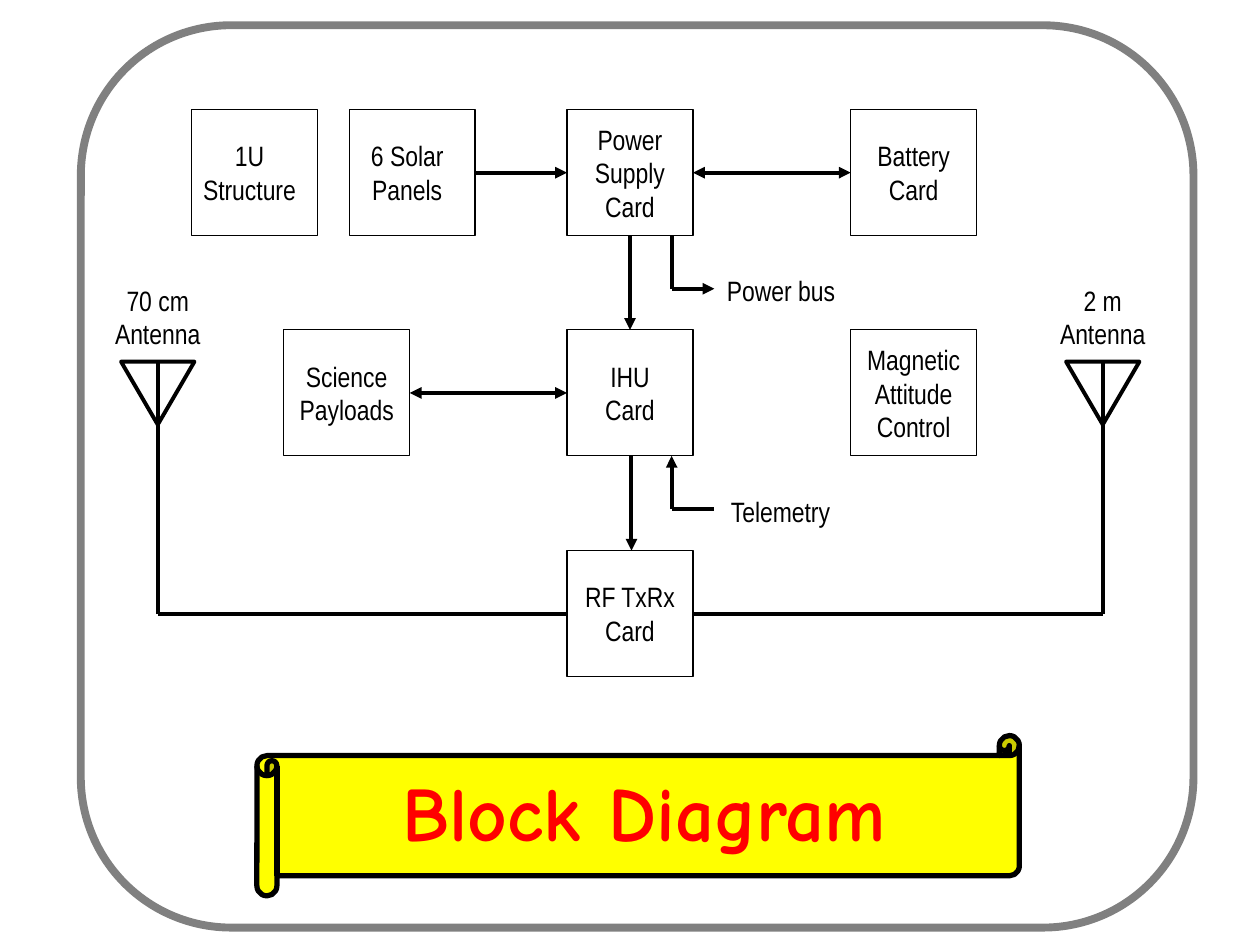
"""Build the satellite block diagram slide."""
from lxml import etree
from pptx import Presentation
from pptx.dml.color import RGBColor
from pptx.enum.shapes import MSO_CONNECTOR, MSO_SHAPE
from pptx.enum.text import MSO_ANCHOR, PP_ALIGN
from pptx.oxml.ns import qn
from pptx.util import Cm, Pt

COLORS = {"ink": "000000", "frame": "808080", "scroll": "FFFF00", "title": "FF0000"}
BOX = 2.54
HALF = BOX / 2
ROWS = (2.21, 6.65, 11.1)
CENTER_X, BATTERY_X, SOLAR_X, STRUCTURE_X, SCIENCE_X = 11.43, 17.15, 7.04, 3.86, 5.72
MID_X, BUS_X, BUS_END = CENTER_X + HALF, 13.54, 14.4
ANTENNA_TOP = 7.29


def rgb(name):
    return RGBColor.from_string(COLORS[name])


def set_text(shape, text, size=16, font="Arial Narrow", color="ink", bold=False, wrap=True):
    frame = shape.text_frame
    frame.word_wrap = wrap
    frame.vertical_anchor = MSO_ANCHOR.MIDDLE
    frame.margin_left = frame.margin_right = Cm(0.25)
    frame.margin_top = frame.margin_bottom = Cm(0.13)
    frame.text = text
    for paragraph in frame.paragraphs:
        paragraph.alignment = PP_ALIGN.CENTER
        for run in paragraph.runs:
            run.font.size, run.font.name, run.font.bold = Pt(size), font, bold
            run.font.color.rgb = rgb(color)


def add_outline(slide, kind, x, y, width, height, weight, line="ink", fill=None):
    shape = slide.shapes.add_shape(kind, Cm(x), Cm(y), Cm(width), Cm(height))
    shape.shadow.inherit = False
    if fill:
        shape.fill.solid()
        shape.fill.fore_color.rgb = rgb(fill)
    else:
        shape.fill.background()
    shape.line.color.rgb = rgb(line)
    shape.line.width = Pt(weight)
    return shape


def add_block(slide, x, row, text, shift=0):
    block = add_outline(slide, MSO_SHAPE.RECTANGLE, x, ROWS[row], BOX, BOX, 0.75)
    set_text(block, text)
    block.text_frame.margin_left = Cm(0.25 - 2 * shift)


def add_label(slide, x, y, width, height, text):
    label = slide.shapes.add_textbox(Cm(x), Cm(y), Cm(width), Cm(height))
    set_text(label, text, wrap=False)


def add_wire(slide, x1, y1, x2, y2, ends=()):
    wire = slide.shapes.add_connector(MSO_CONNECTOR.STRAIGHT, Cm(x1), Cm(y1), Cm(x2), Cm(y2))
    wire.line.color.rgb = rgb("ink")
    wire.line.width = Pt(2.25)
    outline = wire.line._get_or_add_ln()
    for end in ends:
        etree.SubElement(outline, qn(f"a:{end}"), type="triangle")
    etree.SubElement(wire._element.spPr, qn("a:effectLst"))


def add_antenna(slide, x, name, radio_x):
    base = ROWS[2] + HALF
    add_label(slide, x - 1.12, 5.59, 2.24, 1.6, f"{name}\nAntenna")
    dish = add_outline(slide, MSO_SHAPE.ISOSCELES_TRIANGLE, x - 0.74, ANTENNA_TOP, 1.48, 1.27, 2.25)
    dish.rotation = 180
    add_wire(slide, x, ANTENNA_TOP, x, base)
    add_wire(slide, x, base, radio_x, base)


def add_banner(slide):
    add_outline(slide, MSO_SHAPE.HORIZONTAL_SCROLL, 5.18, 14.83, 15.37, 3.23, 3, fill="scroll")
    title = slide.shapes.title
    title.left, title.top, title.width, title.height = Cm(4.42), Cm(15.29), Cm(17.15), Cm(2.11)
    set_text(title, "Block Diagram", 44, "Comic Neue", "title", True)
    slide.shapes._spTree.append(title._element)


def add_wires(slide):
    right = CENTER_X + BOX
    power_y, computer_y = ROWS[0] + HALF, ROWS[1] + HALF
    power_bottom, computer_bottom = ROWS[0] + BOX, ROWS[1] + BOX
    bus_y, telemetry_y = power_bottom + 1.07, computer_bottom + 1.07
    tail, both = ("tailEnd",), ("headEnd", "tailEnd")
    for wire in (
        (9.6, power_y, CENTER_X, power_y, tail),
        (right, power_y, BATTERY_X, power_y, both),
        (SCIENCE_X + BOX, computer_y, CENTER_X, computer_y, both),
        (MID_X, power_bottom, MID_X, ROWS[1], tail),
        (MID_X + 0.03, computer_bottom, MID_X + 0.03, ROWS[2], tail),
        (BUS_X, bus_y, BUS_X, power_bottom),
        (BUS_X, bus_y, BUS_END, bus_y, tail),
        (BUS_X, telemetry_y, BUS_X, computer_bottom, tail),
        (BUS_X, telemetry_y, BUS_END, telemetry_y),
    ):
        add_wire(slide, *wire)


def main():
    deck = Presentation()
    deck.slide_width, deck.slide_height = Cm(25.4), Cm(19.05)
    slide = deck.slides.add_slide(deck.slide_layouts[5])
    add_banner(slide)
    add_outline(slide, MSO_SHAPE.ROUNDED_RECTANGLE, 1.63, 0.51, 22.43, 18.19, 4.5, "frame")
    for block in (
        (STRUCTURE_X, 0, "1U Structure", -0.1),
        (SOLAR_X, 0, "6 Solar\nPanels", -0.1),
        (CENTER_X, 0, "Power\nSupply\nCard"),
        (BATTERY_X, 0, "Battery\nCard"),
        (SCIENCE_X, 1, "Science\nPayloads"),
        (CENTER_X, 1, "IHU\nCard"),
        (BATTERY_X, 1, "Magnetic\vAttitude\nControl"),
        (CENTER_X, 2, "RF TxRx\nCard"),
    ):
        add_block(slide, *block[:3], shift=0)if len(block) == 3 else add_shifted(slide, block)
    add_wires(slide)
    add_antenna(slide, 3.18, "70 cm", CENTER_X)
    add_antenna(slide, 22.23, "2 m", CENTER_X + BOX)
    add_label(slide, 14.4, 5.38, 2.69, 0.94, "Power bus")
    add_label(slide, 14.48, 9.83, 2.51, 0.94, "Telemetry")
    deck.save("out.pptx")


def add_shifted(slide, block):
    x, row, text, shift = block
    add_block(slide, x, row, text, shift)
    frame = slide.shapes[-1].text_frame
    frame.margin_left, frame.margin_right = Cm(0.25 + shift), Cm(0.25 - shift)


if __name__ == "__main__":
    main()
